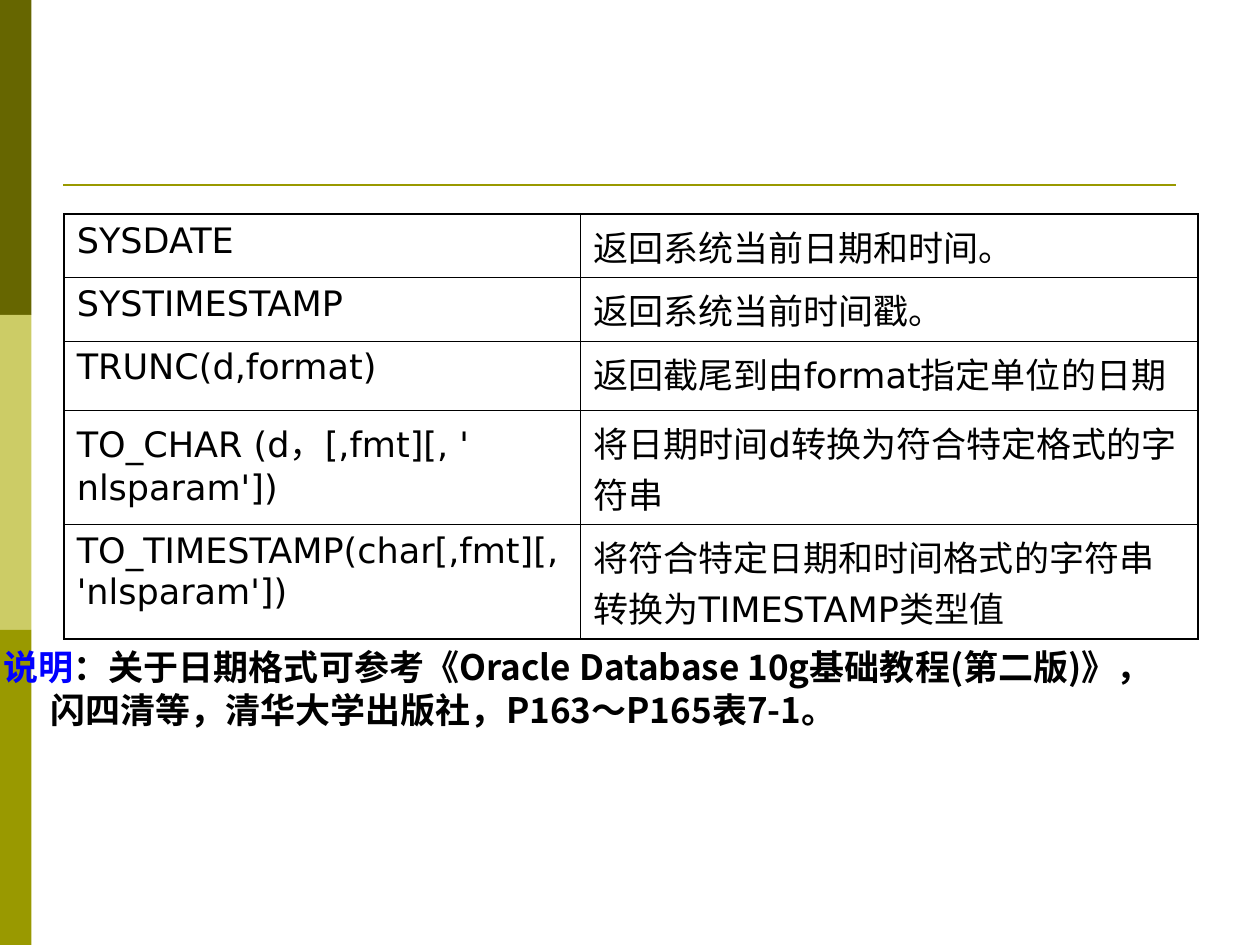
import lxml.etree
import pptx
import pptx.dml.color
import pptx.enum.shapes
import pptx.oxml.ns
import pptx.util

Inches = pptx.util.Inches
Pt = pptx.util.Pt
qn = pptx.oxml.ns.qn
Sub = lxml.etree.SubElement
hues = {
    "dark": "666600",
    "pale": "CCCC66",
    "olive": "999900",
    "blue": "0000FF",
    "black": "000000",
}
sans = "DejaVu Sans"
cjk = "Noto Sans CJK SC"


def tint(name):
    return pptx.dml.color.RGBColor.from_string(hues[name])


def add_run(para, text, face, hue="black", bold=False):
    run = para.add_run()
    run.text = text
    run.font.size = Pt(20)
    run.font.name = face
    run.font.bold = bold
    run.font.color.rgb = tint(hue)
    Sub(run.font._element, qn("a:ea")).set("typeface", cjk)


deck = pptx.Presentation()
deck.slide_width = Inches(10)
deck.slide_height = Inches(7.5)
slide = deck.slides.add_slide(deck.slide_layouts[6])

for i, hue in enumerate(["dark", "pale", "olive"]):
    bar = slide.shapes.add_shape(
        pptx.enum.shapes.MSO_SHAPE.RECTANGLE,
        Inches(0), Inches(2.5 * i), Inches(0.25), Inches(2.5),
    )
    bar.shadow.inherit = False
    bar.fill.solid()
    bar.fill.fore_color.rgb = tint(hue)
    bar.line.fill.background()

rule = slide.shapes.add_connector(
    pptx.enum.shapes.MSO_CONNECTOR.STRAIGHT,
    Inches(0.5), Inches(1.47), Inches(9.33), Inches(1.47),
)
rule.line.color.rgb = tint("olive")
rule.line.width = Pt(1.5)
Sub(rule._element.spPr, qn("a:effectLst"))

rows = [
    (0.44, "SYSDATE", "返回系统当前日期和时间。"),
    (0.44, "SYSTIMESTAMP", "返回系统当前时间戳。"),
    (0.55, "TRUNC(d,format)", "返回截尾到由format指定单位的日期"),
    (0.82, "TO_CHAR (d，[,fmt][, ' nlsparam'])", "将日期时间d转换为符合特定格式的字符串"),
    (0.82, "TO_TIMESTAMP(char[,fmt][, 'nlsparam'])", "将符合特定日期和时间格式的字符串转换为TIMESTAMP类型值"),
]
frame = slide.shapes.add_table(
    len(rows), 2, Inches(0.51), Inches(1.7), Inches(9), Inches(3.07)
)
table = frame.table
table.first_row = False
table.horz_banding = False
table.columns[0].width = Inches(4.1)
table.columns[1].width = Inches(4.9)

for i, (height, *texts) in enumerate(rows):
    table.rows[i].height = Inches(height)
    for j, text in enumerate(texts):
        cell = table.cell(i, j)
        add_run(cell.text_frame.paragraphs[0], text, sans)
        props = cell._tc.get_or_add_tcPr()
        edges = {"L": j == 0, "R": j == 1, "T": i == 0, "B": i == len(rows) - 1}
        for side, outer in edges.items():
            edge = Sub(props, qn("a:ln" + side))
            edge.set("w", str(Pt(1.08 if outer else 0.45)))
            fill = Sub(edge, qn("a:solidFill"))
            Sub(fill, qn("a:srgbClr")).set("val", hues["black"])
        cell.fill.background()

note = slide.shapes.add_textbox(
    Inches(-0.07), Inches(5.07), Inches(10.24), Inches(0.77)
).text_frame
note.word_wrap = True
head = note.paragraphs[0]
add_run(head, "说明", cjk, "blue", True)
add_run(head, "：关于日期格式可参考《Oracle Database 10g基础教程(第二版)》，", cjk, bold=True)
tail = note.add_paragraph()
tail._p.get_or_add_pPr().set("marL", str(Inches(0.37)))
add_run(tail, "闪四清等，清华大学出版社，P163～P165表7-1。", cjk, bold=True)
for para in note.paragraphs:
    para.line_spacing = Pt(24.5)

deck.save("out.pptx")
